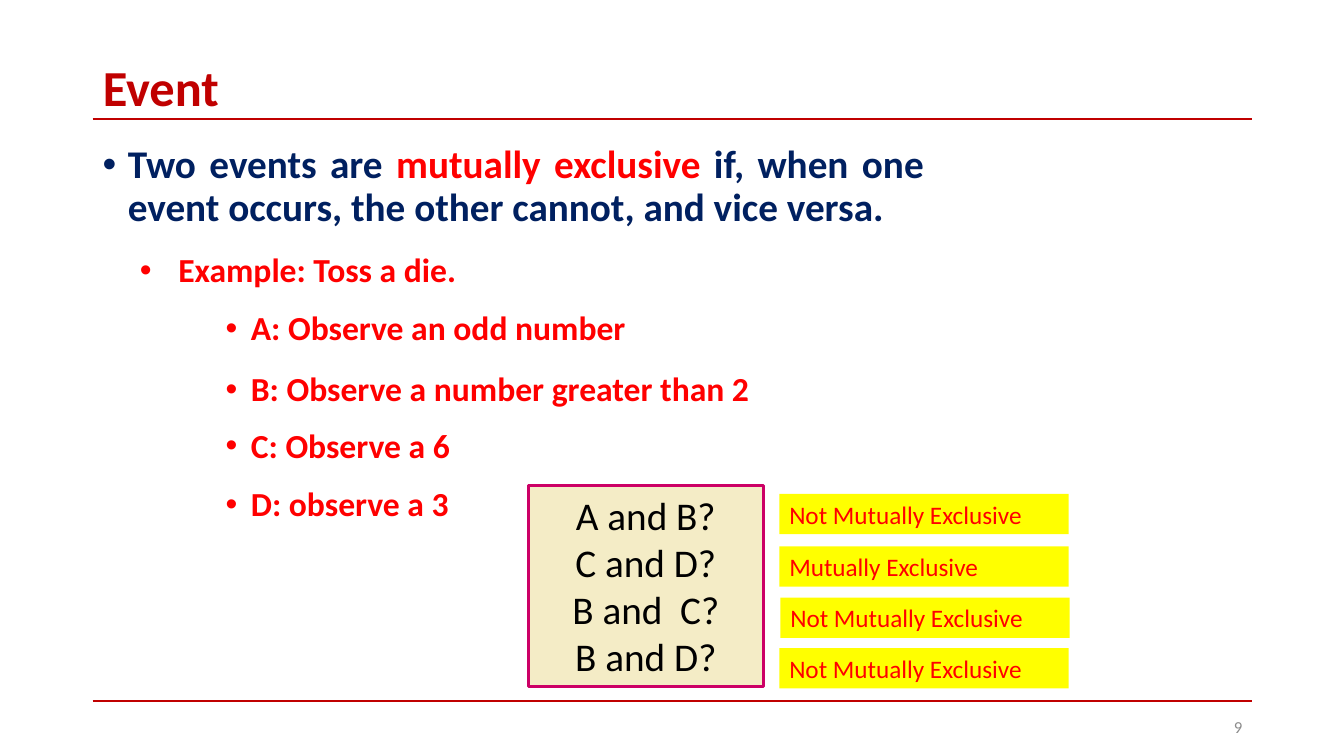
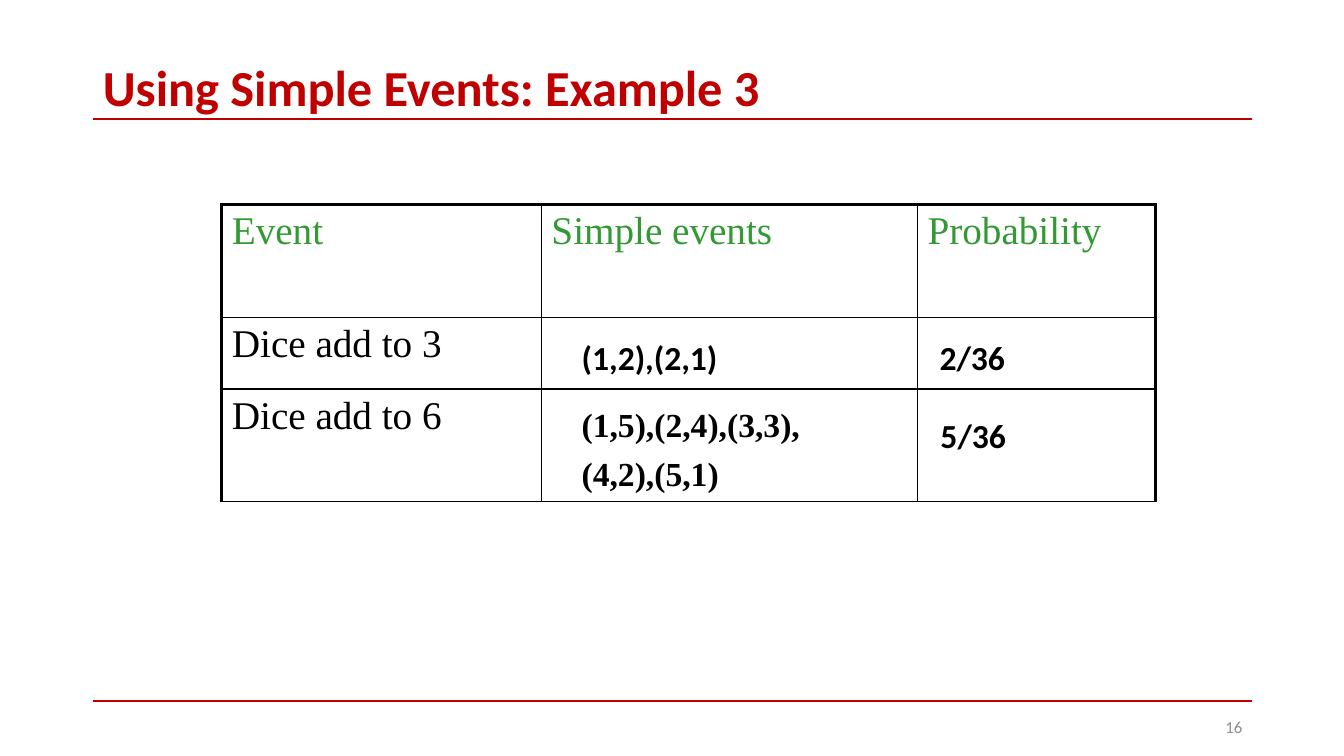
from lxml import etree
from pptx import Presentation
from pptx.dml.color import RGBColor
from pptx.enum.shapes import MSO_CONNECTOR, MSO_SHAPE
from pptx.enum.text import MSO_ANCHOR, MSO_AUTO_SIZE, PP_ALIGN
from pptx.oxml.ns import qn
from pptx.util import Emu, Pt

EMU_PER_PX = 9144  # 100 px to the inch
TITLE_ONLY = 5
LEFT, CENTER, RIGHT, JUSTIFY = PP_ALIGN.LEFT, PP_ALIGN.CENTER, PP_ALIGN.RIGHT, PP_ALIGN.JUSTIFY
TOP, MIDDLE = MSO_ANCHOR.TOP, MSO_ANCHOR.MIDDLE
STRAIGHT, RECTANGLE = MSO_CONNECTOR.STRAIGHT, MSO_SHAPE.RECTANGLE
NO_AUTOFIT = MSO_AUTO_SIZE.NONE
SANS, SERIF = "Calibri", "Times New Roman"
COLORS = {
    "title": "C00000", "navy": "002060", "red": "FF0000", "black": "000000",
    "gray": "8C8C8C", "green": "339933", "cream": "F4ECC6", "magenta": "CC0066",
    "yellow": "FFFF00",
}
RULE_LEFT, RULE_RIGHT = 92, 1242


def px(value):
    return Emu(value * EMU_PER_PX)


def color(name):
    return RGBColor.from_string(COLORS[name])


class Deck:
    def __init__(self):
        self.presentation = Presentation()
        self.presentation.slide_width = px(1333)
        self.presentation.slide_height = px(750)
        self.slide = None

    def add_slide(self, title, number):
        layout = self.presentation.slide_layouts[TITLE_ONLY]
        self.slide = self.presentation.slides.add_slide(layout)
        for y in (118, 695):
            self.rule(y)
        shape = self.slide.shapes.title
        shape.left, shape.top, shape.width, shape.height = map(px, (RULE_LEFT, 61, 1150, 58))
        self.set_text(shape.text_frame, [title], 36, "title", bold=True, anchor=MIDDLE, spacing=0.9)
        self.text((942, 701, 300, 40), [str(number)], 12, "gray", align=RIGHT, anchor=MIDDLE)

    def rule(self, y):
        line = self.slide.shapes.add_connector(
            STRAIGHT, px(RULE_LEFT), px(y), px(RULE_RIGHT), px(y))
        line.line.color.rgb = color("title")
        line.line.width = Pt(1.5)
        etree.SubElement(line._element.spPr, qn("a:effectLst"))

    def set_text(self, frame, lines, size, ink, font=SANS, bold=False, align=LEFT,
                 anchor=TOP, spacing=None, gap=0, indent=0):
        """Fill a frame; a line is a string or a list of (text, color) runs."""
        frame.word_wrap = True
        frame.auto_size = NO_AUTOFIT
        frame.vertical_anchor = anchor
        for index, line in enumerate(lines):
            paragraph = frame.add_paragraph() if index else frame.paragraphs[0]
            self.style_paragraph(paragraph, size, ink, font, bold, align, spacing, indent)
            if index:
                paragraph.space_before = Pt(gap)
            for text, run_ink in [(line, None)] if isinstance(line, str) else line:
                run = paragraph.add_run()
                run.text = text
                if run_ink:
                    run.font.color.rgb = color(run_ink)

    def style_paragraph(self, paragraph, size, ink, font=SANS, bold=False, align=LEFT,
                        spacing=None, indent=0):
        paragraph.alignment = align
        if spacing:
            paragraph.line_spacing = spacing
        if indent:
            properties = paragraph._p.get_or_add_pPr()
            properties.set("marL", str(px(indent)))
            properties.set("indent", str(px(-indent)))
            etree.SubElement(properties, qn("a:buFont"), typeface="Arial")
            etree.SubElement(properties, qn("a:buChar"), char="•")
        paragraph.font.name = font
        paragraph.font.size = Pt(size)
        paragraph.font.bold = bold
        paragraph.font.color.rgb = color(ink)

    def text(self, box, lines, size, ink, **style):
        shape = self.slide.shapes.add_textbox(*map(px, box))
        self.set_text(shape.text_frame, lines, size, ink, **style)

    def bullet(self, box, line, size, ink, indent=25):
        self.text(box, [line], size, ink, bold=True, align=JUSTIFY, spacing=0.9, indent=indent)

    def panel(self, box, lines, size, ink, fill, border=None, **style):
        shape = self.slide.shapes.add_shape(RECTANGLE, *map(px, box))
        shape.shadow.inherit = False
        shape.fill.solid()
        shape.fill.fore_color.rgb = color(fill)
        if border:
            shape.line.color.rgb = color(border)
            shape.line.width = Pt(2.25)
        else:
            shape.line.fill.background()
        self.set_text(shape.text_frame, lines, size, ink, **style)

    def table(self, left, top, widths, heights, rows):
        """Draw a ruled table, heavy on all outer edges but the bottom."""
        table = self.slide.shapes.add_table(
            len(heights), len(widths), px(left), px(top), px(sum(widths)), px(sum(heights))).table
        table.first_row = table.horz_banding = False
        for column, width in zip(table.columns, widths):
            column.width = px(width)
        for r, (height, row) in enumerate(zip(heights, rows)):
            table.rows[r].height = px(height)
            for c, text in enumerate(row):
                cell = table.cell(r, c)
                paragraph = cell.text_frame.paragraphs[0]
                self.style_paragraph(paragraph, 28, "black" if r else "green", SERIF)
                if text:
                    paragraph.add_run().text = text
                heavy = {"L": c == 0, "R": c == len(widths) - 1, "T": r == 0, "B": False}
                for side, is_heavy in heavy.items():
                    self.border(cell, side, 2.25 if is_heavy else 1)
                cell.fill.background()

    def border(self, cell, side, width):
        properties = cell._tc.get_or_add_tcPr()
        line = etree.SubElement(properties, qn(f"a:ln{side}"), w=str(Pt(width)))
        fill = etree.SubElement(line, qn("a:solidFill"))
        etree.SubElement(fill, qn("a:srgbClr"), val=COLORS["black"])


def build_event(deck):
    deck.add_slide("Event", 9)
    deck.bullet((92, 139, 834, 192), [
        ("Two events are ", None),
        ("mutually exclusive ", "red"),
        ("if, when one event occurs, the other cannot, and vice versa.", None),
    ], 28, "navy")
    deck.bullet((129, 247, 796, 47), "Example: Toss a die.", 24, "red", indent=38)
    events = [
        (304, "A: Observe an odd number"),
        (365, "B: Observe a number greater than 2"),
        (421, "C: Observe a 6"),
        (479, "D: observe a 3"),
    ]
    for top, event in events:
        deck.bullet((214, top, 834, 47), event, 24, "red")

    questions = ["A and B?", "C and D?", "B and  C?", "B and D?"]
    deck.panel((524, 482, 233, 199), questions, 28, "black", "cream", "magenta", align=CENTER)
    answers = [
        (773, 490, "Not Mutually Exclusive"),
        (773, 542, "Mutually Exclusive"),
        (774, 593, "Not Mutually Exclusive"),
        (773, 643, "Not Mutually Exclusive"),
    ]
    for left, top, answer in answers:
        deck.panel((left, top, 287, 40), [answer], 18, "red", "yellow")


def build_dice_sums(deck):
    deck.add_slide("Using Simple Events: Example 3", 16)
    deck.table(220, 203, (317, 373, 236), (112, 71, 112), [
        ("Event", "Simple events", "Probability"),
        ("Dice add to 3", "", ""),
        ("Dice add to 6", "", ""),
    ])
    answers = [
        ((567, 329, 165, 50), ["(1,2),(2,1)"], SANS),
        ((922, 329, 136, 50), ["2/36"], SANS),
        ((567, 396, 292, 99), ["(1,5),(2,4),(3,3),", "(4,2),(5,1)"], SERIF),
        ((923, 407, 136, 50), ["5/36"], SANS),
    ]
    for box, lines, font in answers:
        deck.text(box, lines, 24, "black", font=font, bold=True, gap=6)


def main():
    deck = Deck()
    build_event(deck)
    build_dice_sums(deck)
    deck.presentation.save("out.pptx")


if __name__ == "__main__":
    main()
